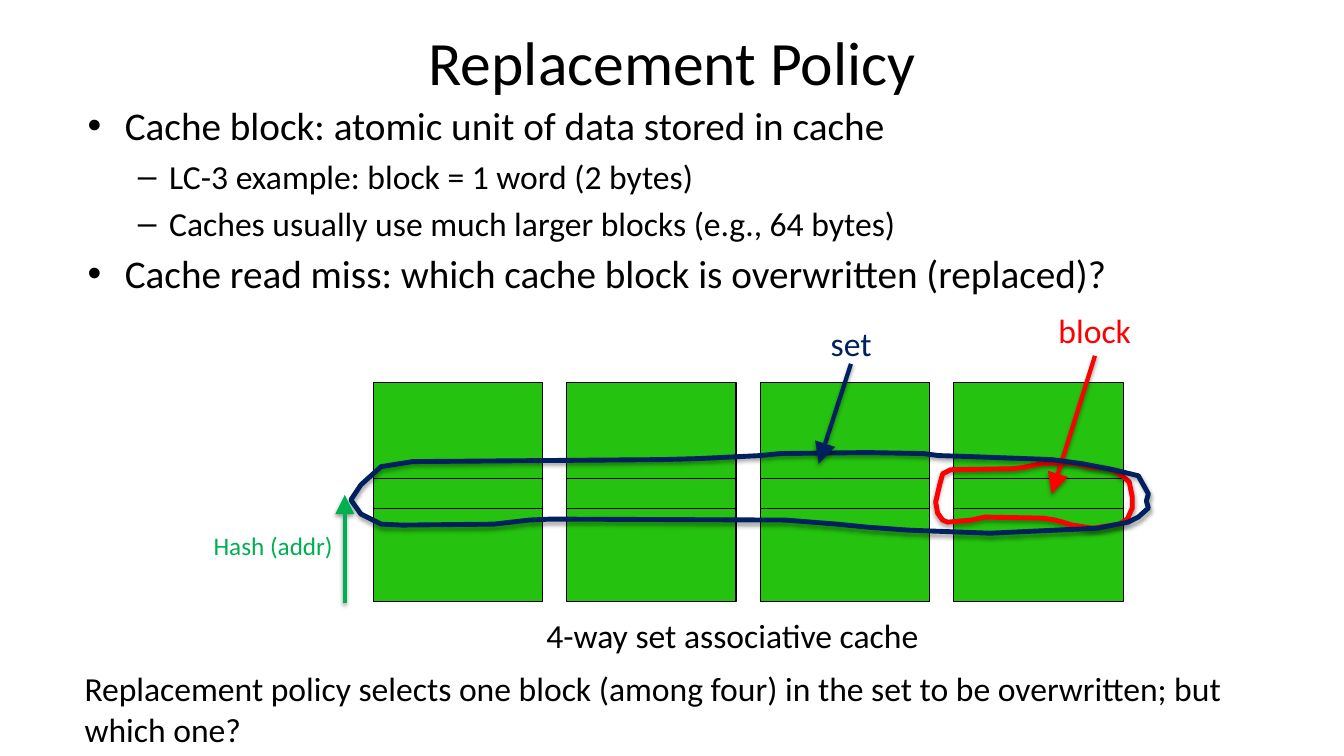
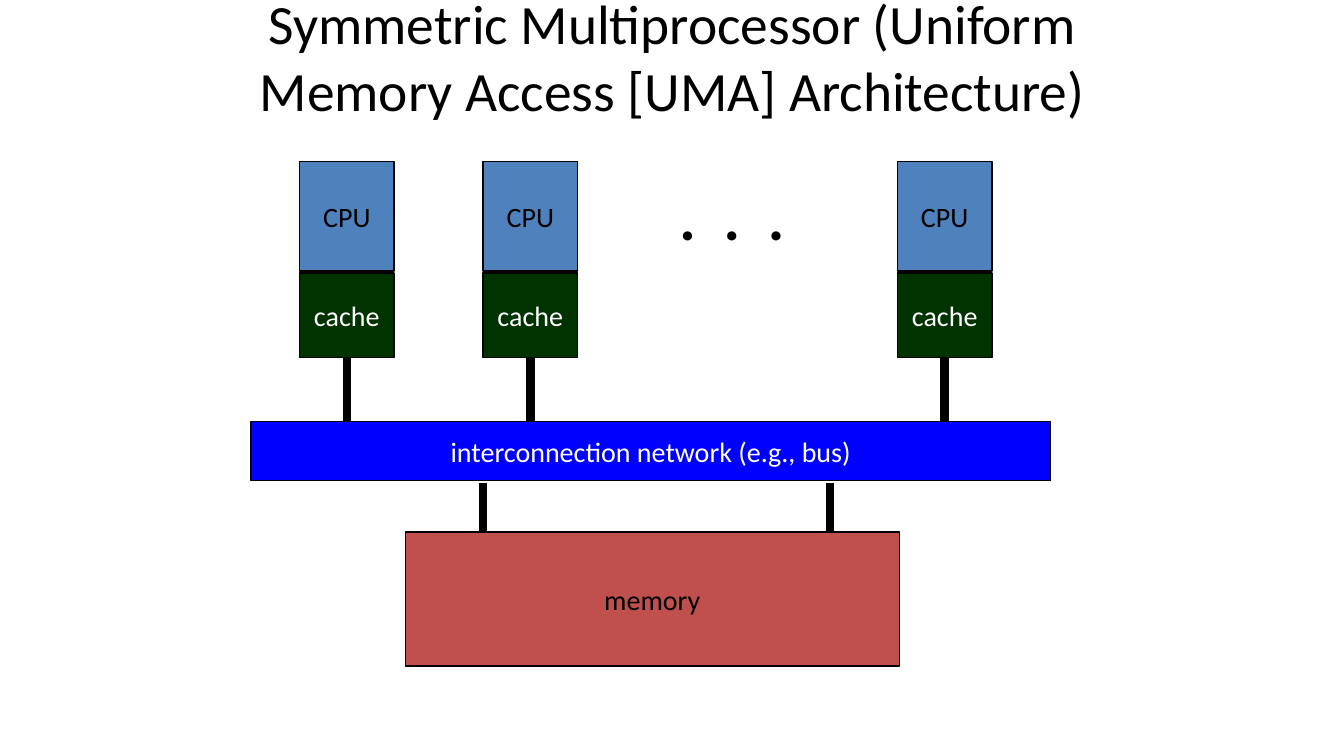
import lxml.etree
import pptx
import pptx.dml.color
import pptx.enum.shapes
import pptx.enum.text
import pptx.oxml.ns
import pptx.util

SCALE = 9144
FONT = "Calibri"
BLACK, WHITE = "000000", "FFFFFF"
RED, NAVY, GREEN = "FF0000", "002060", "00B050"
CELL, CORE, CACHE = "25C210", "4F81BD", "003300"
BUS, STORE = "0000FF", "C0504D"

ALIGN = pptx.enum.text.PP_ALIGN
ANCHOR = pptx.enum.text.MSO_ANCHOR

LINES = [
    (0, "Cache block: atomic unit of data stored in cache"),
    (1, "LC-3 example: block = 1 word (2 bytes)"),
    (1, "Caches usually use much larger blocks (e.g., 64 bytes)"),
    (0, "Cache read miss: which cache block is overwritten (replaced)?"),
]
LEVELS = [("•", 28, 37, 37), ("–", 24, 81, 31)]

BLOCK = [
    (1123, 493), (1120, 478), (1114, 473), (1107, 468), (1099, 465),
    (1079, 463), (1068, 460), (1054, 459), (1033, 460), (1013, 464),
    (1004, 465), (943, 466), (935, 470), (932, 481), (928, 498),
    (930, 509), (935, 516), (940, 518), (963, 516), (977, 513),
    (1034, 514), (1047, 516), (1064, 521), (1084, 524), (1110, 520),
    (1118, 515), (1123, 504),
]
SET = [
    (1139, 490), (1129, 472), (1104, 466), (1073, 460), (1043, 456),
    (962, 453), (931, 452), (916, 450), (860, 449), (774, 450),
    (754, 452), (693, 455), (657, 456), (409, 458), (378, 463),
    (368, 472), (358, 481), (348, 496), (358, 510), (378, 520),
    (399, 521), (490, 520), (525, 516), (546, 515), (779, 516),
    (830, 520), (860, 523), (901, 526), (982, 529), (1089, 524),
    (1119, 518), (1129, 513), (1139, 504), (1137, 497),
]


def px(num):
    return pptx.util.Emu(num * SCALE)


def paint(code):
    return pptx.dml.color.RGBColor.from_string(code)


def node(host, tag, **attrs):
    name = pptx.oxml.ns.qn(tag)
    return lxml.etree.SubElement(host, name, {k: str(v) for k, v in attrs.items()})


def write(para, text, size, tint=BLACK, bold=False):
    run = para.add_run()
    run.text = text
    font = run.font
    font.name = FONT
    font.size = pptx.util.Pt(size)
    font.bold = bold
    font.color.rgb = paint(tint)
    return run


def stroke(item, tint, width):
    item.line.color.rgb = paint(tint)
    item.line.width = pptx.util.Pt(width)


def shade(item, alpha=0):
    host = node(item._element.spPr, "a:effectLst")
    if alpha:
        cast = node(host, "a:outerShdw", blurRad=39370, dist=22860,
                    dir=5400000, rotWithShape=0)
        tone = node(cast, "a:srgbClr", val=BLACK)
        node(tone, "a:alpha", val=alpha * 1000)


def label(slide, area, text, size, tint=BLACK, wrap=False, align=ALIGN.LEFT,
          anchor=ANCHOR.TOP, bold=False):
    box = slide.shapes.add_textbox(*map(px, area))
    frame = box.text_frame
    frame.word_wrap = wrap
    frame.vertical_anchor = anchor
    para = frame.paragraphs[0]
    para.alignment = align
    return write(para, text, size, tint, bold)


def title(slide, top, text, size):
    label(slide, (217, top, 900, 125), text, size, wrap=True,
          align=ALIGN.CENTER, anchor=ANCHOR.MIDDLE)


def bullets(slide, area, lines):
    frame = slide.shapes.add_textbox(*map(px, area)).text_frame
    frame.word_wrap = True
    for pos, (level, text) in enumerate(lines):
        mark, size, left, hang = LEVELS[level]
        para = frame.add_paragraph() if pos else frame.paragraphs[0]
        para.level = level
        para.space_before = pptx.util.Pt(4.8 if pos else 0)
        props = para._p.get_or_add_pPr()
        props.set("marL", str(px(left)))
        props.set("indent", str(px(-hang)))
        node(props, "a:buFont", typeface="Arial")
        node(props, "a:buChar", char=mark)
        write(para, text, size)


def rect(slide, area, fill, text="", tint=BLACK, width=1):
    kind = pptx.enum.shapes.MSO_SHAPE.RECTANGLE
    box = slide.shapes.add_shape(kind, *map(px, area))
    box.fill.solid()
    box.fill.fore_color.rgb = paint(fill)
    stroke(box, BLACK, width)
    box.shadow.inherit = False
    if text:
        frame = box.text_frame
        frame.word_wrap = False
        frame.vertical_anchor = ANCHOR.MIDDLE
        para = frame.paragraphs[0]
        para.alignment = ALIGN.CENTER
        write(para, text, 20, tint)
    return box


def link(slide, start, end, tint, width, arrow=False):
    kind = pptx.enum.shapes.MSO_CONNECTOR.STRAIGHT
    line = slide.shapes.add_connector(kind, *map(px, start + end))
    stroke(line, tint, width)
    if arrow:
        node(line.line._get_or_add_ln(), "a:tailEnd", type="triangle",
             w="lg", len="lg")
    shade(line, 38 if arrow else 0)
    return line


def loop(slide, knots, tint):
    first, *rest = knots
    pen = slide.shapes.build_freeform(*first, scale=SCALE)
    pen.add_line_segments(rest, close=True)
    ring = pen.convert_to_shape()
    ring.fill.background()
    stroke(ring, tint, 3.5)
    shade(ring, 35)


def policy(slide):
    title(slide, -2, "Replacement Policy", 44)
    bullets(slide, (77, 96, 1200, 264), LINES)
    for way in range(4):
        left = 370 + 192 * way
        for top, high in ((379, 218), (475, 30)):
            rect(slide, (left, top, 168, high), CELL, width=0.75)
    label(slide, (532, 605, 393, 50), "4-way set associative cache", 24)
    label(slide, (1040, 303, 93, 50), "block", 24, RED)
    label(slide, (814, 315, 61, 50), "set", 24, NAVY)
    loop(slide, BLOCK, RED)
    link(slide, (1086, 353), (1043, 490), RED, 3, True)
    loop(slide, SET, NAVY)
    link(slide, (844, 361), (812, 460), NAVY, 3, True)
    link(slide, (342, 598), (342, 491), GREEN, 2.75, True)
    label(slide, (202, 521, 140, 40), "Hash (addr)", 18, GREEN)
    label(slide, (74, 658, 1200, 91),
          "Replacement policy selects one block (among four) in the set "
          "to be overwritten; but which one?", 24, wrap=True)


def uma(slide):
    title(slide, -7, "Symmetric Multiprocessor (Uniform Memory Access "
          "[UMA] Architecture)", 39.6)
    rect(slide, (249, 418, 793, 59), BUS, "interconnection network (e.g., bus)", WHITE)
    rect(slide, (402, 528, 490, 133), STORE, "memory")
    for left in (297, 479, 890):
        rect(slide, (left, 160, 94, 109), CORE, "CPU")
        cache = rect(slide, (left, 271, 94, 84), CACHE, "cache", WHITE)
        mid = left + 47
        wire = link(slide, (mid, 355), (mid, 418), BLACK, 6)
        wire.begin_connect(cache, 2)
    for mid in (479, 823):
        link(slide, (mid, 479), (mid, 528), BLACK, 6)
    dots = label(slide, (663, 173, 126, 84), ". . .", 44,
                 align=ALIGN.CENTER, bold=True)
    dots.font._element.set("spc", "500")


def main():
    deck = pptx.Presentation()
    deck.slide_width, deck.slide_height = px(1333), px(750)
    for build in (policy, uma):
        build(deck.slides.add_slide(deck.slide_layouts[6]))
    deck.save("out.pptx")


if __name__ == "__main__":
    main()
